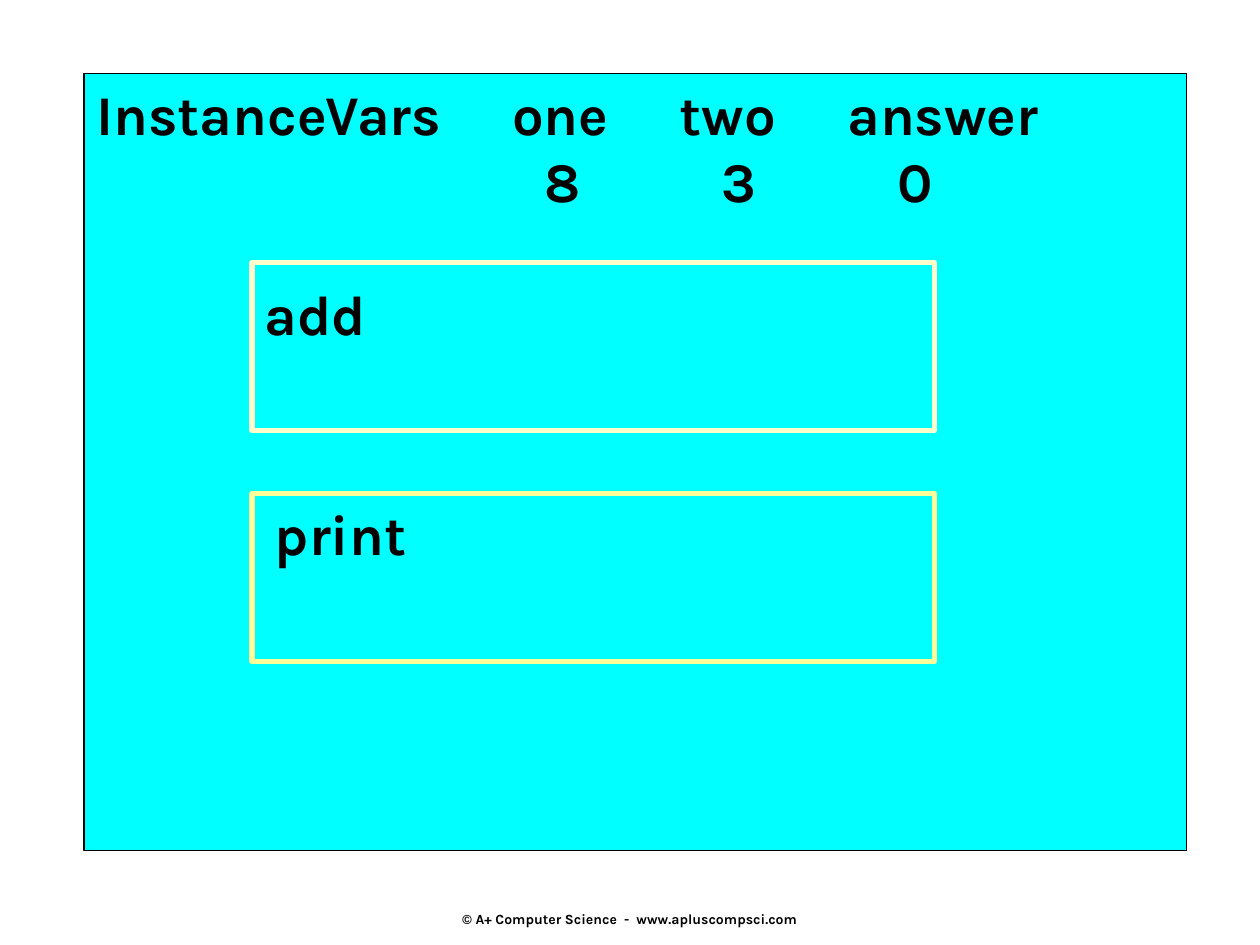
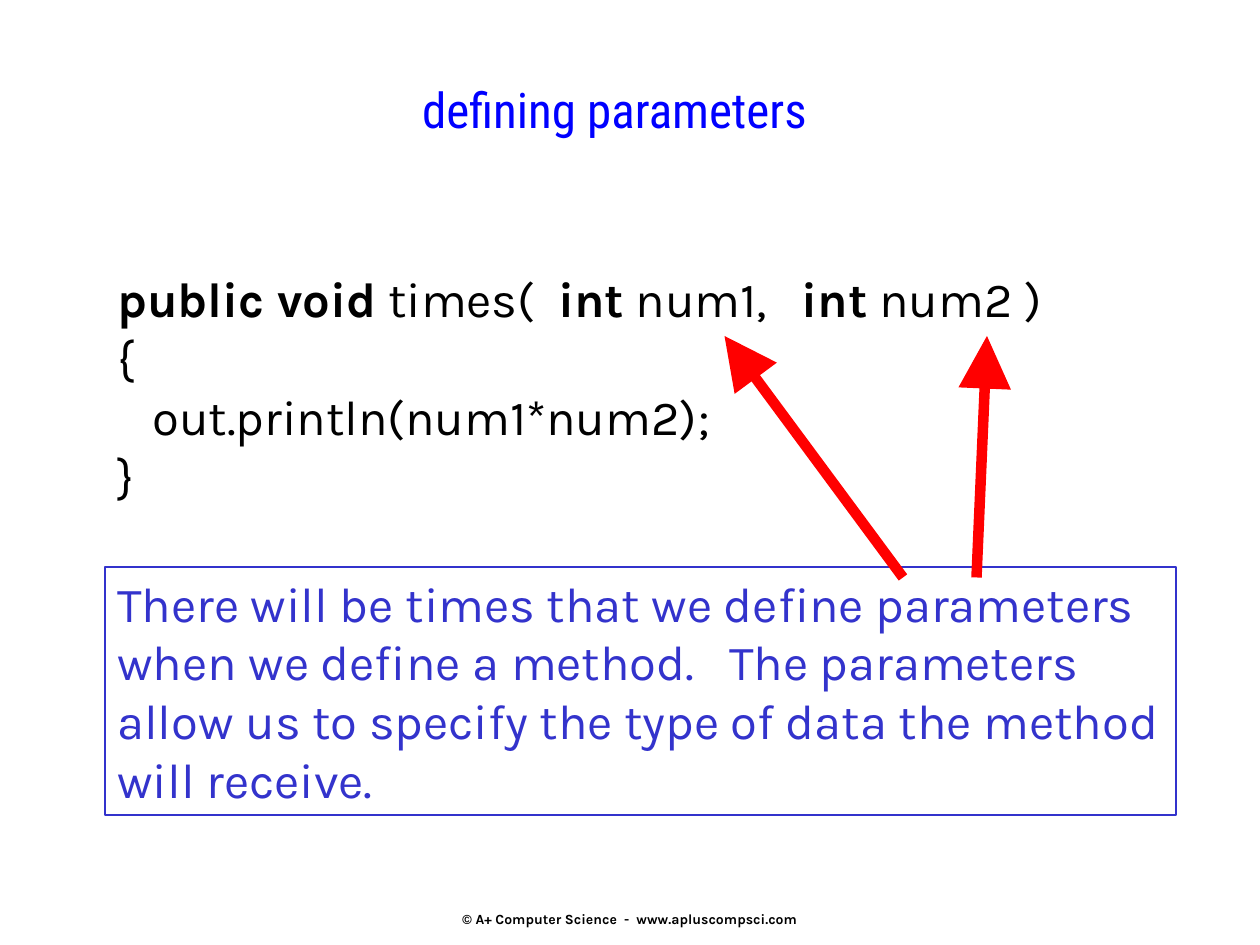
"""Build two slides on instance variables and method parameters."""
from lxml import etree
from pptx import Presentation
from pptx import util as u
from pptx.dml.color import RGBColor
from pptx.enum import shapes, text
from pptx.oxml import ns

COLORS = {
    "black": "000000", "cyan": "00FFFF", "cream": "FFFFCC", "yellow": "FFFF99",
    "title": "0000FF", "note": "3333CC", "arrow": "FF0000",
}
BODY_FONT, TITLE_FONT = "Karla", "Roboto Condensed"

deck = Presentation()
deck.slide_width, deck.slide_height = u.Inches(10), u.Inches(7.5)
COLUMN = deck.slide_width // 120
ROW = deck.slide_height // 90


def style(para, size, color="black", bold=False, name=BODY_FONT):
    """Set the font of a whole paragraph."""
    font = para.font
    font.name, font.size, font.bold = name, u.Pt(size), bold
    font.color.rgb = RGBColor.from_string(COLORS[color])


def add_box(page, left, top, width, height, fill=None, line=None, weight=1):
    """Add a wrapping text box placed in grid columns and rows."""
    place = left * COLUMN, int(top * ROW), width * COLUMN, int(height * ROW)
    if line is None:
        box = page.shapes.add_textbox(*place)
    else:
        box = page.shapes.add_shape(shapes.MSO_SHAPE.RECTANGLE, *place)
        box.shadow.inherit = False
        box.line.color.rgb = RGBColor.from_string(COLORS[line])
        box.line.width = u.Pt(weight)
        if fill:
            box.fill.solid()
            box.fill.fore_color.rgb = RGBColor.from_string(COLORS[fill])
        else:
            box.fill.background()
    box.text_frame.word_wrap = True
    box.text_frame.vertical_anchor = text.MSO_ANCHOR.TOP
    return box


object_page = deck.slides.add_slide(deck.slide_layouts[6])
method_page = deck.slides.add_slide(deck.slide_layouts[5])

for page in deck.slides:
    footer = add_box(page, 0, 86, 120, 3).text_frame
    footer.vertical_anchor = text.MSO_ANCHOR.MIDDLE
    para = footer.paragraphs[0]
    para.text = "© A+ Computer Science  -  www.apluscompsci.com"
    para.alignment = text.PP_ALIGN.CENTER
    style(para, 8, bold=True)

add_box(object_page, 8, 7, 105, 74, "cyan", "black", 0.75)
variables = add_box(object_page, 8, 7, 108, 14).text_frame
variable_rows = [
    (["InstanceVars", "one", "two", "answer"], 3.3, 1.33),
    (["", "8", "3", "0"], 3.56, 1.4),
]
for index, (cells, first_stop, pitch) in enumerate(variable_rows):
    para = variables.add_paragraph() if index else variables.paragraphs[0]
    para.text = "\t".join(cells)
    stops = etree.SubElement(para._p.get_or_add_pPr(), ns.qn("a:tabLst"))
    for column in range(len(cells) - 1):
        position = u.Inches(first_stop + column * pitch)
        etree.SubElement(stops, ns.qn("a:tab"), pos=str(int(position)), algn="l")
    style(para, 32, bold=True)

methods = [("add", 25, "cream", 24, 26), ("print", 47, "yellow", 25, 47)]
for name, top, border, label_left, label_top in methods:
    add_box(object_page, 24, top, 65, 16, "cyan", border, 3)
    para = add_box(object_page, label_left, label_top, 25, 8).text_frame.paragraphs[0]
    para.text = name
    style(para, 32, bold=True)

title = method_page.shapes.title
title.left, title.top = 13 * COLUMN, 7 * ROW
title.width, title.height = 91 * COLUMN, 9 * ROW
title.text_frame.text = "defining parameters"
title.text_frame.auto_size = text.MSO_AUTO_SIZE.NONE
title.text_frame.vertical_anchor = text.MSO_ANCHOR.TOP
title.text_frame.paragraphs[0].alignment = text.PP_ALIGN.CENTER
style(title.text_frame.paragraphs[0], 28, "title", name=TITLE_FONT)

code = add_box(method_page, 10, 25, 94, 24).text_frame
code_lines = [
    [("public void", True), (" times(  ", False), ("int", True),
     (" num1,   ", False), ("int", True), (" num2 )", False)],
    [("{", False)],
    [("   out.println(num1*num2);", False)],
    [("}", False)],
]
for index, spans in enumerate(code_lines):
    para = code.add_paragraph() if index else code.paragraphs[0]
    style(para, 28)
    for words, bold in spans:
        span = para.add_run()
        span.text = words
        span.font.bold = bold

note = add_box(method_page, 10, 54, 102, 23.64, line="note").text_frame
para = note.paragraphs[0]
para.text = (
    "There will be times that we define parameters when we define a method.   "
    "The parameters allow us to specify the type of data the method will receive."
)
para.alignment = text.PP_ALIGN.LEFT
style(para, 28, "note")

for start, end in [(93, 94), (86, 69)]:
    arrow = method_page.shapes.add_connector(
        shapes.MSO_CONNECTOR.STRAIGHT,
        start * COLUMN, 55 * ROW, end * COLUMN, 32 * ROW)
    arrow.line.color.rgb = RGBColor.from_string(COLORS["arrow"])
    arrow.line.width = u.Pt(6)
    etree.SubElement(arrow.line._get_or_add_ln(), ns.qn("a:tailEnd"),
                     type="triangle", w="lg", len="lg")
    etree.SubElement(arrow._element.spPr, ns.qn("a:effectLst"))

deck.save("out.pptx")
